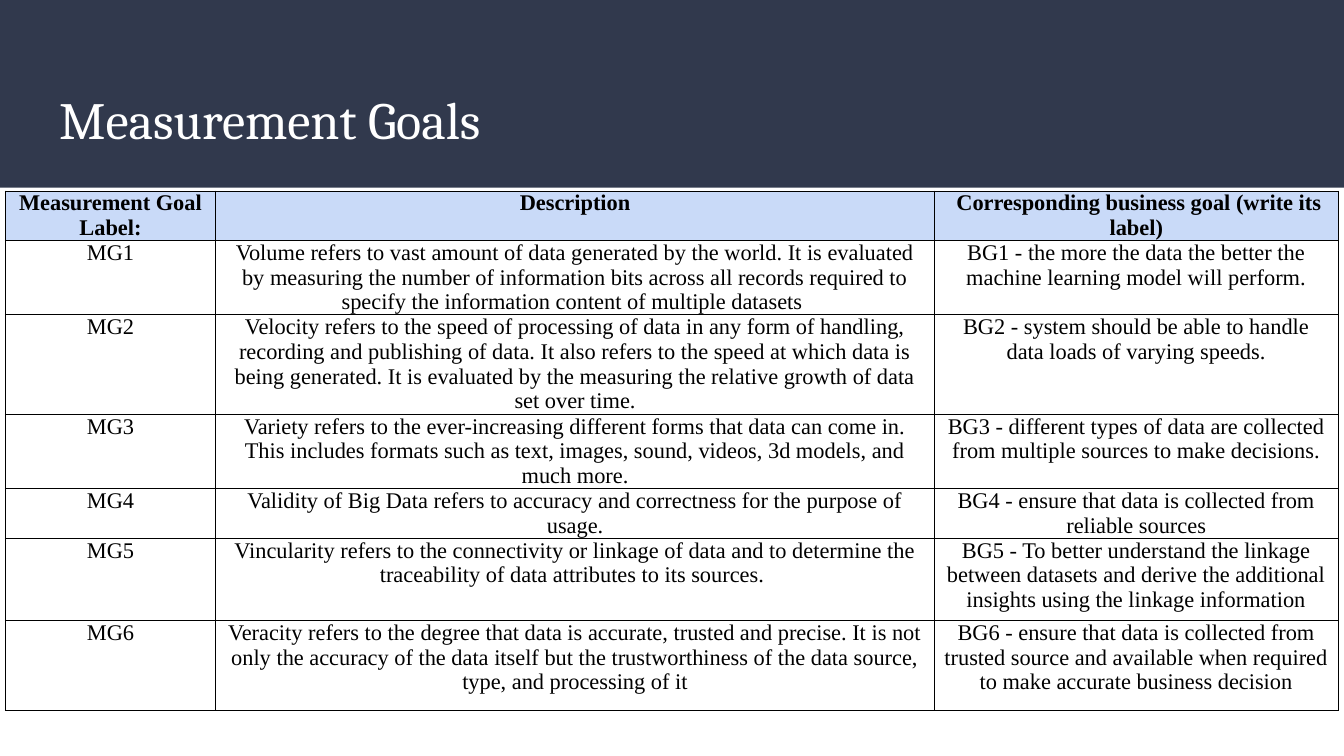
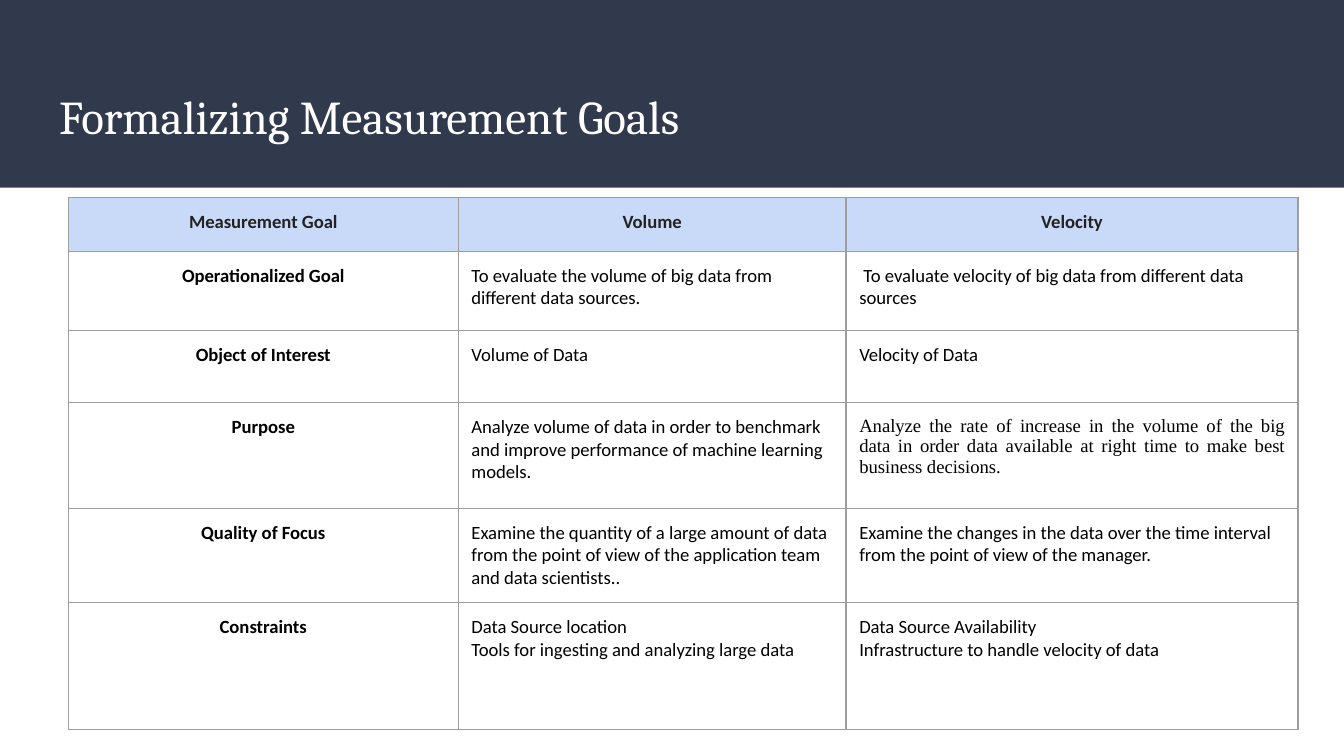
from dataclasses import dataclass

from lxml.etree import SubElement
from pptx import Presentation
from pptx.dml.color import RGBColor as Color
from pptx.enum.shapes import MSO_SHAPE as Shape
from pptx.enum.text import MSO_ANCHOR as Anchor, PP_ALIGN as Align
from pptx.oxml.ns import qn
from pptx.util import Cm, Pt


@dataclass(frozen=True)
class Theme:
    band: str = "31394D"
    paper: str = "FFFFFF"
    header: str = "C9DAF8"
    ink: str = "000000"
    soft_ink: str = "222222"
    grid: str = "9E9E9E"
    title_font: str = "Cambria"
    serif: str = "Times New Roman"
    sans: str = "Calibri"
    goals_size: float = 12
    goals_leading: float = 13.25
    formal_size: float = 10


THEME = Theme()

# Content: the first row of each table is its header
GOALS = [
    ("Measurement Goal Label:", "Description",
     " Corresponding business goal (write its label)"),
    ("MG1",
     "Volume refers to vast amount of data generated by the world. It is evaluated by "
     "measuring the number of information bits across all records required to specify "
     "the information content of multiple datasets ",
     "BG1 - the more the data the better the machine learning model will perform."),
    ("MG2",
     "Velocity refers to the speed of processing of data in any form of handling, "
     "recording and publishing of data. It also refers to the speed at which data is "
     "being generated. It is evaluated by the measuring the relative growth of data "
     "set over time.",
     "BG2 - system should be able to handle data loads of varying speeds."),
    ("MG3",
     "Variety refers to the ever-increasing different forms that data can come in. This "
     "includes formats such as text, images, sound, videos, 3d models, and much more.",
     "BG3 - different types of data are collected from multiple sources to make decisions."),
    ("MG4",
     "Validity of Big Data refers to accuracy and correctness for the purpose of usage.",
     "BG4 - ensure that data is collected from reliable sources"),
    ("MG5",
     "Vincularity refers to the connectivity or linkage of data and to determine the "
     "traceability of data attributes to its sources. ",
     "BG5 - To better understand the linkage between datasets and derive the additional "
     "insights using the linkage information"),
    ("MG6",
     "Veracity refers to the degree that data is accurate, trusted and precise. It is not "
     "only the accuracy of the data itself but the trustworthiness of the data source, "
     "type, and processing of it",
     "BG6 - ensure that data is collected from trusted source and available when required "
     "to make accurate business decision"),
]

FORMAL_GOALS = [
    ("Measurement Goal", "Volume", "Velocity"),
    ("Operationalized Goal",
     "To evaluate the volume of big data from different data sources.",
     " To evaluate velocity of big data from different data sources"),
    ("Object of Interest", "Volume of Data", "Velocity of Data"),
    ("Purpose",
     "Analyze volume of data in order to benchmark and improve performance of machine "
     "learning models.",
     "Analyze the rate of increase in the volume of the big data in order data available "
     "at right time to make best business decisions."),
    ("Quality of Focus",
     "Examine the quantity of a large amount of data from the point of view of the "
     "application team and data scientists..",
     "Examine the changes in the data over the time interval from the point of view of "
     "the manager."),
    ("Constraints",
     "Data Source location\nTools for ingesting and analyzing large data",
     "Data Source Availability\nInfrastructure to handle velocity of data"),
]

# Lengths in centimetres
PAGE_SIZE = (25.4, 14.29)
BAND_HEIGHT = 3.55
TITLE_BOX = (0.87, 1.4, 23.67, 1.72)
PADDING = 0.25


def style_paragraph(para, font, size, color, bold=False, align=Align.LEFT, leading=None):
    para.alignment = align
    if leading:
        para.line_spacing = Pt(leading)
    para.font.name = font
    para.font.size = Pt(size)
    para.font.bold = bold
    para.font.color.rgb = Color.from_string(color)


def set_margins(target, across, down):
    target.margin_left = target.margin_right = Cm(across)
    target.margin_top = target.margin_bottom = Cm(down)


def add_page(deck, title, size):
    page = deck.slides.add_slide(deck.slide_layouts[6])
    # Dark band across the top
    band = page.shapes.add_shape(Shape.RECTANGLE, 0, 0, deck.slide_width, Cm(BAND_HEIGHT))
    band.shadow.inherit = False
    band.fill.solid()
    band.fill.fore_color.rgb = Color.from_string(THEME.band)
    band.line.fill.background()
    # Title
    frame = page.shapes.add_textbox(*map(Cm, TITLE_BOX)).text_frame
    frame.word_wrap = True
    frame.vertical_anchor = Anchor.TOP
    set_margins(frame, PADDING, PADDING)
    frame.text = title
    style_paragraph(frame.paragraphs[0], THEME.title_font, size, THEME.paper)
    return page


def set_borders(cell, color, width):
    properties = cell._tc.get_or_add_tcPr()
    for side in ("lnL", "lnR", "lnT", "lnB"):
        line = SubElement(properties, qn(f"a:{side}"), w=str(Pt(width)))
        fill = SubElement(line, qn("a:solidFill"))
        SubElement(fill, qn("a:srgbClr"), val=color)


def add_grid(page, content, corner, widths, heights, border, padding, text_style):
    """Draw the table; text_style(row, column) gives the paragraph settings."""
    left, top = corner
    table = page.shapes.add_table(
        len(content), len(widths),
        Cm(left), Cm(top), Cm(sum(widths)), Cm(sum(heights))).table
    table.first_row = table.horz_banding = False
    for column, width in zip(table.columns, widths):
        column.width = Cm(width)
    for row, height in zip(table.rows, heights):
        row.height = Cm(height)
    for r, texts in enumerate(content):
        for c, text in enumerate(texts):
            cell = table.cell(r, c)
            set_borders(cell, *border)
            cell.fill.solid()
            cell.fill.fore_color.rgb = Color.from_string(THEME.paper if r else THEME.header)
            set_margins(cell, *padding)
            cell.text = text
            for para in cell.text_frame.paragraphs:
                style_paragraph(para, **text_style(r, c))


def goals_style(row, column):
    return dict(font=THEME.serif, size=THEME.goals_size, color=THEME.ink,
                bold=row == 0, align=Align.CENTER, leading=THEME.goals_leading)


def formal_style(row, column):
    heading = row == 0 or column == 0
    style = dict(font=THEME.sans, size=THEME.formal_size,
                 color=THEME.ink if row else THEME.soft_ink,
                 bold=heading, align=Align.CENTER if heading else Align.LEFT)
    # The velocity purpose is set apart in justified serif
    if FORMAL_GOALS[row][0] == "Purpose" and column == 2:
        style.update(font=THEME.serif, align=Align.JUSTIFY)
    return style


def main():
    deck = Presentation()
    deck.slide_width, deck.slide_height = map(Cm, PAGE_SIZE)

    page = add_page(deck, "Measurement Goals", 28)
    add_grid(page, GOALS, corner=(0.1, 3.61), widths=(3.98, 13.58, 7.63),
             heights=(0.94, 1.4, 1.88, 1.4, 0.94, 1.56, 1.69),
             border=(THEME.ink, 0.5), padding=(0.18, 0), text_style=goals_style)

    page = add_page(deck, "Formalizing Measurement Goals", 25.2)
    add_grid(page, FORMAL_GOALS, corner=(1.29, 3.73), widths=(7.37, 7.33, 8.54),
             heights=(1.02, 1.5, 1.36, 2, 1.78, 2.4),
             border=(THEME.grid, 0.75), padding=(PADDING, PADDING), text_style=formal_style)

    deck.save("out.pptx")


if __name__ == "__main__":
    main()
